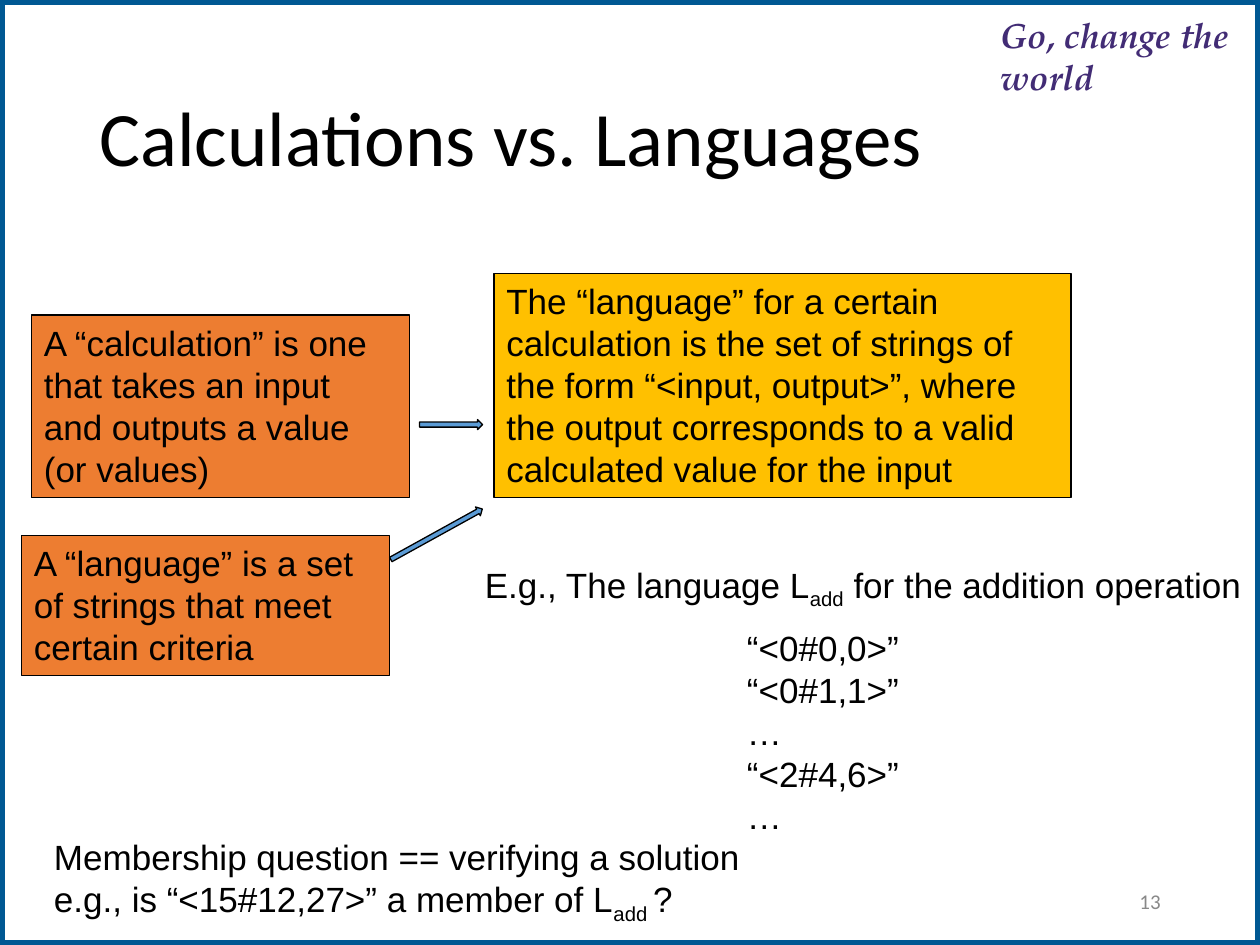
import pptx
import pptx.dml.color
import pptx.enum.shapes
import pptx.enum.text
import pptx.util

Inches = pptx.util.Inches
Pt = pptx.util.Pt
SHAPE = pptx.enum.shapes.MSO_SHAPE
ALIGN = pptx.enum.text.PP_ALIGN
ANCHOR = pptx.enum.text.MSO_ANCHOR

COLORS = {
    "white": "FFFFFF", "black": "000000", "frame": "005893", "motto": "422C75",
    "number": "898989", "orange": "ED7D31", "gold": "FFC000", "arrow": "5B9BD5",
}
BODY = {"name": "Arial", "size": Pt(20)}
TITLE = {"name": "Calibri", "size": Pt(44)}
NUMBER = {"name": "Calibri", "size": Pt(12)}
MOTTO = {"name": "TeX Gyre Pagella", "size": Pt(20), "bold": True, "italic": True}


def rgb(name):
    return pptx.dml.color.RGBColor.from_string(COLORS[name])


class SlideBuilder:
    def __init__(self, slide):
        self.slide = slide

    def shape(self, kind, box, fill, line="black", width=0.75, rotation=0):
        sp = self.slide.shapes.add_shape(kind, *map(Inches, box))
        sp.shadow.inherit = False
        sp.fill.solid()
        sp.fill.fore_color.rgb = rgb(fill)
        sp.line.color.rgb = rgb(line)
        sp.line.width = Pt(width)
        sp.rotation = rotation
        return sp

    def fill_text(self, sp, paragraphs, font=BODY, color="black", frame=None, para=None):
        """Fill sp with paragraphs, each a list of runs; a "_" prefix marks a
        subscript and a lone newline is a line break."""
        tf = sp.text_frame
        settings = {"word_wrap": True, "vertical_anchor": ANCHOR.TOP, **(frame or {})}
        for key, value in settings.items():
            setattr(tf, key, value)
        for i, runs in enumerate(paragraphs):
            p = tf.add_paragraph() if i else tf.paragraphs[0]
            for key, value in {"alignment": ALIGN.LEFT, **(para or {})}.items():
                setattr(p, key, value)
            for text in runs:
                if text == "\n":
                    p.add_line_break()
                    continue
                r = p.add_run()
                r.text = text.removeprefix("_")
                for key, value in font.items():
                    setattr(r.font, key, value)
                r.font.color.rgb = rgb(color)
                if text.startswith("_"):
                    r.font._element.set("baseline", "-25000")

    def text(self, box, paragraphs, **style):
        sp = self.slide.shapes.add_textbox(*map(Inches, box))
        self.fill_text(sp, paragraphs, **style)

    def panel(self, box, fill, text):
        self.fill_text(self.shape(SHAPE.RECTANGLE, box, fill), [[text]])

    def arrow(self, box, rotation=0):
        self.shape(SHAPE.RIGHT_ARROW, box, "arrow", rotation=rotation)


def main():
    prs = pptx.Presentation()
    prs.slide_width, prs.slide_height = Inches(10), Inches(7.5)
    s = SlideBuilder(prs.slides.add_slide(prs.slide_layouts[6]))

    s.shape(SHAPE.RECTANGLE, (0, 0, 10, 7.5), "white", line="frame", width=6)
    s.text((7.94, 0.1, 2.05, 0.62), [["Go, change the world"]], font=MOTTO, color="motto",
           frame={"margin_left": 0, "margin_top": Inches(0.01),
                  "margin_right": 0, "margin_bottom": 0},
           para={"space_before": Pt(1)})
    s.text((0.69, 0.4, 8.62, 1.45), [["Calculations vs. Languages"]], font=TITLE,
           frame={"vertical_anchor": ANCHOR.MIDDLE}, para={"line_spacing": 0.9})
    s.text((7.06, 6.95, 2.25, 0.4), [["13"]], font=NUMBER, color="number",
           frame={"vertical_anchor": ANCHOR.MIDDLE}, para={"alignment": ALIGN.RIGHT})

    s.panel((0.25, 2.5, 3, 1.45), "orange",
            "A “calculation” is one that takes an input and outputs a value (or values)")
    s.panel((0.17, 4.25, 2.92, 1.11), "orange",
            "A “language” is a set of strings that meet certain criteria")
    s.panel((3.92, 2.17, 4.58, 1.78), "gold",
            "The “language” for a certain calculation is the set of strings of the form "
            "“<input, output>”, where the output corresponds to a valid calculated value "
            "for the input")

    no_wrap = {"word_wrap": False}
    examples = ["“<0#0,0>”", "“<0#1,1>”", "…", "“<2#4,6>”", "…"]
    s.text((5.83, 4.92, 1.41, 2.12), [[example] for example in examples], frame=no_wrap)
    s.text((3.75, 4.42, 6.44, 0.44),
           [["E.g., The language L", "_add", " for the addition operation"]], frame=no_wrap)
    s.arrow((3.33, 3.33, 0.5, 0.08))
    s.arrow((3.05, 4.2, 0.83, 0.08), rotation=331.1)
    s.text((0.33, 6.58, 5.69, 0.77),
           [["Membership question == verifying a solution", "\n",
             "e.g., is “<15#12,27>” a member of L", "_add ", "?"]], frame=no_wrap)

    prs.save("out.pptx")


if __name__ == "__main__":
    main()
